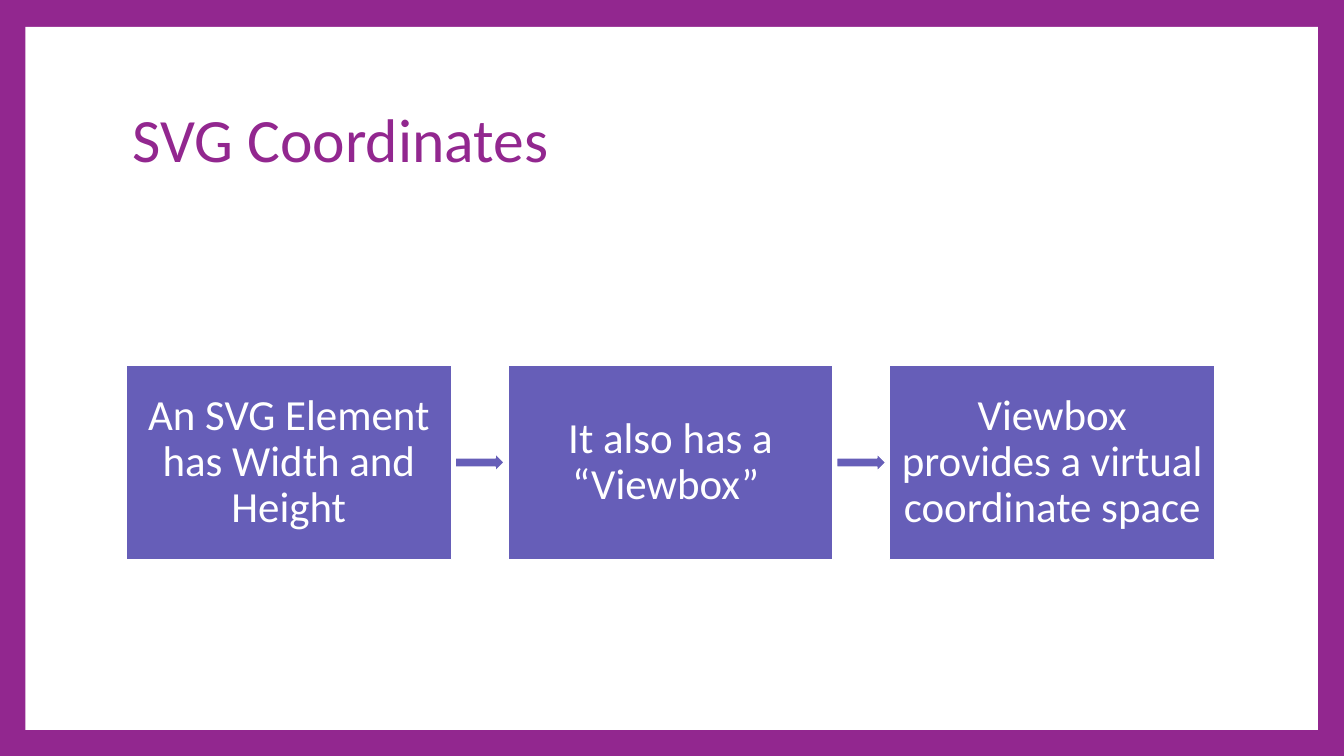
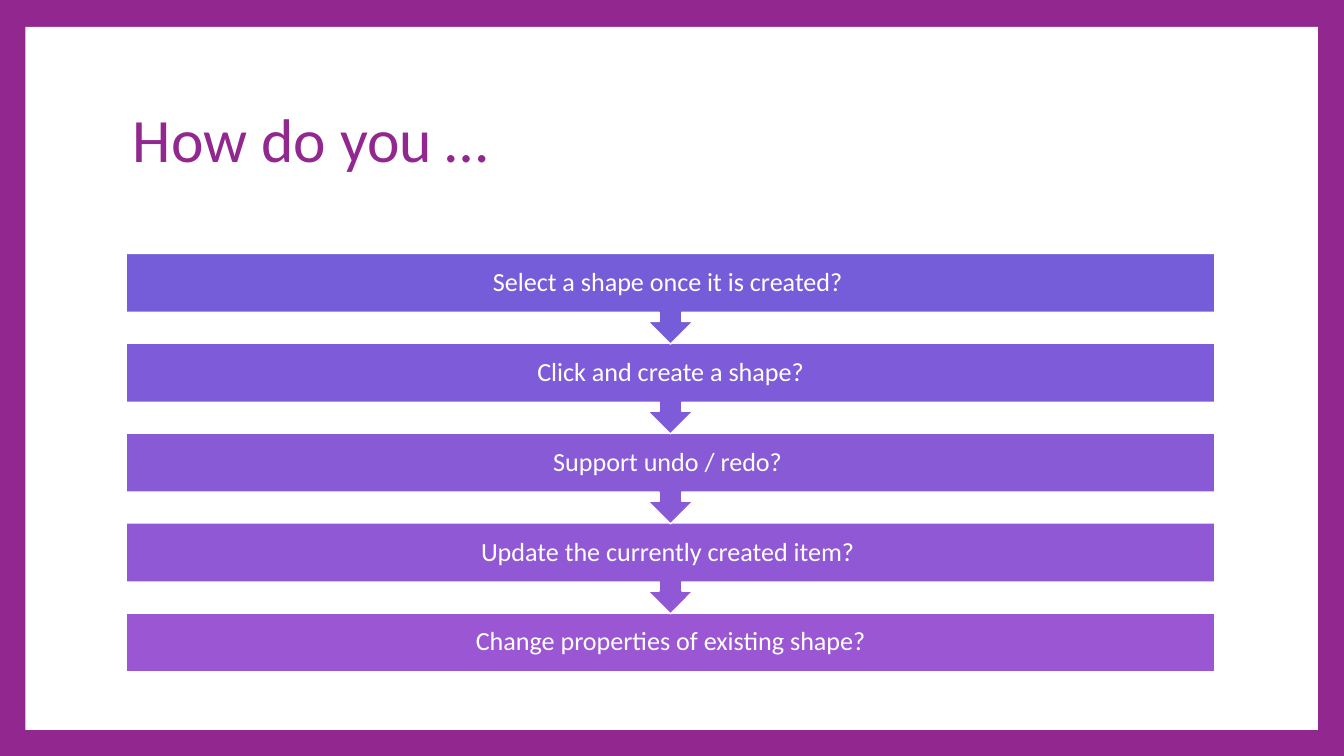
from pptx import Presentation
from pptx.dml.color import RGBColor
from pptx.enum import shapes, text
from pptx.util import Pt

FLOW = [
    "An SVG Element has Width and Height",
    "It also has a “Viewbox” ",
    "Viewbox provides a virtual coordinate space ",
]
STEPS = [
    ("Select a shape once it is created? ", RGBColor(0x75, 0x5D, 0xD9)),
    ("Click and create a shape?", RGBColor(0x7E, 0x5B, 0xD8)),
    ("Support undo / redo? ", RGBColor(0x88, 0x5A, 0xD6)),
    ("Update the currently created item? ", RGBColor(0x91, 0x58, 0xD5)),
    ("Change properties of existing shape?", RGBColor(0x9B, 0x57, 0xD3)),
]

PLUM = RGBColor(0x92, 0x27, 0x8F)
WHITE = RGBColor(0xFF, 0xFF, 0xFF)
INDIGO = RGBColor(0x66, 0x5E, 0xB8)
FONT = "Calibri"
KIND = shapes.MSO_SHAPE
ALIGN = text.PP_ALIGN

WIDE, HIGH = 1440, 810
LEFT, SPAN = 135.2, 1166.4


def write(shape, words, size, color, align, pad):
    frame = shape.text_frame
    frame.word_wrap = True
    frame.vertical_anchor = text.MSO_ANCHOR.MIDDLE
    frame.margin_left = frame.margin_right = Pt(pad)
    frame.margin_top = frame.margin_bottom = Pt(pad)
    para = frame.paragraphs[0]
    para.alignment = align
    para.line_spacing = 0.9
    run = para.add_run()
    run.text = words
    run.font.name = FONT
    run.font.size = Pt(size)
    run.font.color.rgb = color


def draw(slide, kind, x, y, w, h, fill):
    shape = slide.shapes.add_shape(kind, Pt(x), Pt(y), Pt(w), Pt(h))
    shape.shadow.inherit = False
    shape.fill.solid()
    shape.fill.fore_color.rgb = fill
    shape.line.color.rgb = WHITE
    shape.line.width = Pt(1.5)
    return shape


def start(deck, title):
    """Add a slide with the plum frame, white panel and title."""
    slide = deck.slides.add_slide(deck.slide_layouts[6])
    back = slide.background.fill
    back.solid()
    back.fore_color.rgb = PLUM
    panel = draw(slide, KIND.RECTANGLE, 27.2, 28.8, 1384.7, 753.2, WHITE)
    panel.line.fill.background()
    box = slide.shapes.add_textbox(Pt(LEFT), Pt(72), Pt(SPAN), Pt(160.6))
    write(box, title, 66, PLUM, ALIGN.LEFT, 7.2)
    return slide


def flow(slide):
    top, wide, high = 391.2, 348.5, 208.6
    pitch = (SPAN - wide) / (len(FLOW) - 1)
    long, thick = 52.6, 19.4
    for i, words in enumerate(FLOW):
        x = LEFT + i * pitch
        if i:
            mid = x - (pitch - wide) / 2
            draw(slide, KIND.RIGHT_ARROW, mid - long / 2,
                 top + (high - thick) / 2, long, thick, INDIGO)
        box = draw(slide, KIND.RECTANGLE, x, top, wide, high, INDIGO)
        write(box, words, 46, WHITE, ALIGN.CENTER, 11)


def stack(slide):
    """Draw the steps from the bottom up, so each arrow tip lies on top."""
    top, pitch, bar, call = 271.5, 96.3, 63.2, 97.2
    last = len(STEPS) - 1
    for i in range(last, -1, -1):
        words, fill = STEPS[i]
        kind, high = ((KIND.RECTANGLE, bar) if i == last
                      else (KIND.DOWN_ARROW_CALLOUT, call))
        box = draw(slide, kind, LEFT, top + i * pitch, SPAN, high, fill)
        write(box, words, 28, WHITE, ALIGN.CENTER, 15.8)


def main():
    deck = Presentation()
    deck.slide_width, deck.slide_height = Pt(WIDE), Pt(HIGH)
    flow(start(deck, "SVG Coordinates"))
    stack(start(deck, "How do you …"))
    deck.save("out.pptx")


if __name__ == "__main__":
    main()
